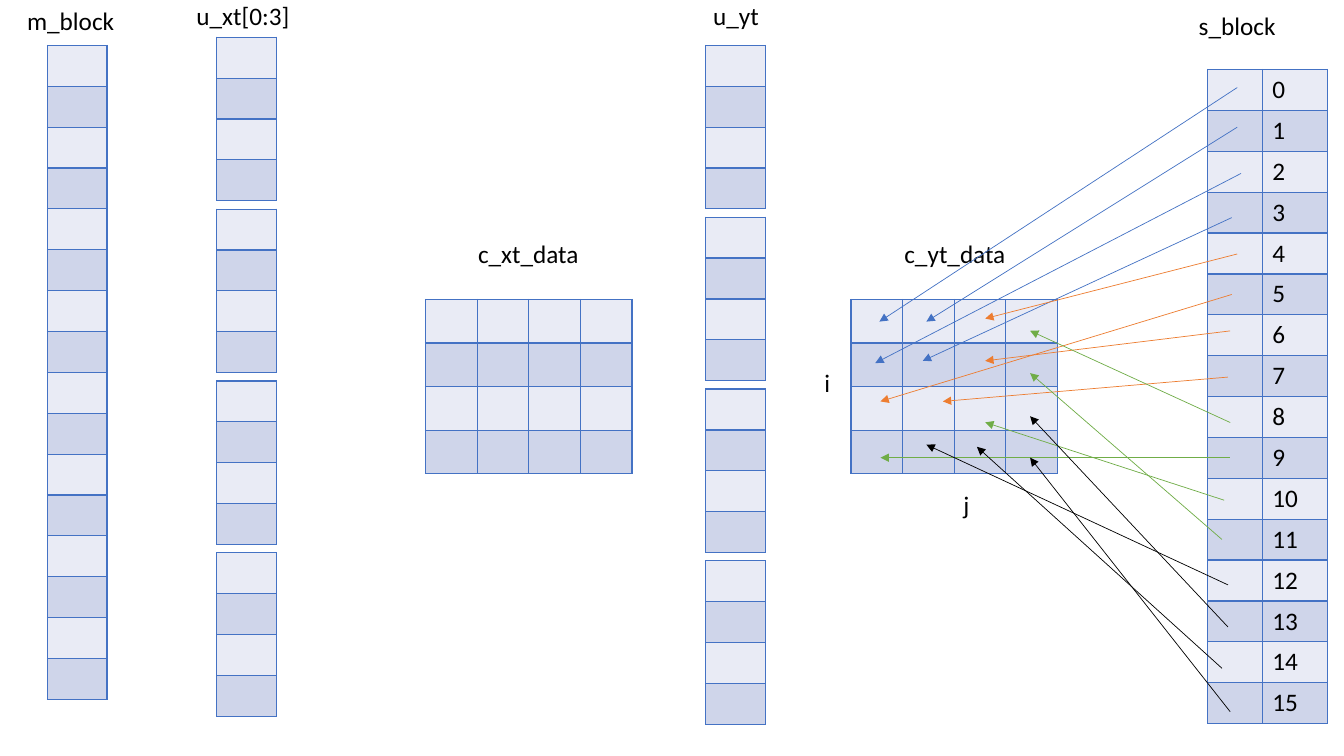
from dataclasses import dataclass
from typing import NamedTuple

from lxml.etree import SubElement
from pptx import Presentation
from pptx.dml.color import RGBColor
from pptx.enum.shapes import MSO_CONNECTOR as Connector
from pptx.enum.text import MSO_AUTO_SIZE as AutoSize, PP_ALIGN as Align
from pptx.oxml.ns import qn
from pptx.util import Inches, Pt


@dataclass(frozen=True)
class Theme:
    font: str = "Calibri"
    size: float = 18
    text: str = "000000"
    bands: tuple[str, str] = ("E9EBF5", "CFD5EA")
    border: str = "4472C4"
    border_width: float = 1
    arrow_width: float = 0.5
    # One colour for each group of four s_block entries
    groups: tuple[str, ...] = ("4472C4", "ED7D31", "70AD47", "000000")


class Grid(NamedTuple):
    """Cells placed in percent of the slide's width and height."""
    left: float
    top: float
    columns: tuple[float, ...]
    row_height: float
    rows: int
    numbered: bool = False

    def point(self, column: float, row: float) -> tuple[int, int]:
        return across(self.left + column * self.columns[0]), down(self.top + row * self.row_height)


class Label(NamedTuple):
    text: str
    left: float
    top: float
    width: float
    align: Align = Align.CENTER


class Arrow(NamedTuple):
    """Tip in c_yt_data and start in s_block, in columns and rows of each."""
    tip: tuple[float, float]
    start: tuple[float, float]


theme = Theme()
presentation = Presentation()
presentation.slide_width, presentation.slide_height = Inches(13.33), Inches(7.5)
slide = presentation.slides.add_slide(presentation.slide_layouts[6])


def across(percent: float) -> int:
    return round(presentation.slide_width * percent / 100)


def down(percent: float) -> int:
    return round(presentation.slide_height * percent / 100)


def style_text(paragraph) -> None:
    paragraph.font.name = theme.font
    paragraph.font.size = Pt(theme.size)
    paragraph.font.color.rgb = RGBColor.from_string(theme.text)


def add_borders(cell) -> None:
    properties = cell._tc.get_or_add_tcPr()
    for side in ("lnL", "lnR", "lnT", "lnB"):
        line = SubElement(properties, qn(f"a:{side}"), w=str(Pt(theme.border_width)))
        fill = SubElement(line, qn("a:solidFill"))
        SubElement(fill, qn("a:srgbClr"), val=theme.border)


def draw_grid(grid: Grid) -> None:
    table = slide.shapes.add_table(
        grid.rows, len(grid.columns), across(grid.left), down(grid.top),
        across(sum(grid.columns)), down(grid.rows * grid.row_height)).table
    table.first_row = table.horz_banding = False
    for column, width in zip(table.columns, grid.columns):
        column.width = across(width)
    for index, row in enumerate(table.rows):
        row.height = down(grid.row_height)
        cells = list(row.cells)
        for cell in cells:
            add_borders(cell)
            cell.fill.solid()
            cell.fill.fore_color.rgb = RGBColor.from_string(theme.bands[index % 2])
            style_text(cell.text_frame.paragraphs[0])
        if grid.numbered:
            cells[-1].text_frame.paragraphs[0].add_run().text = str(index)


def draw_label(label: Label) -> None:
    box = slide.shapes.add_textbox(
        across(label.left), down(label.top), across(label.width), down(LABEL_HEIGHT))
    frame = box.text_frame
    frame.word_wrap = True
    frame.auto_size = AutoSize.SHAPE_TO_FIT_TEXT
    paragraph = frame.paragraphs[0]
    paragraph.text = label.text
    paragraph.alignment = label.align
    style_text(paragraph)


def draw_arrow(arrow: Arrow, color: str) -> None:
    connector = slide.shapes.add_connector(
        Connector.STRAIGHT, *c_yt_data.point(*arrow.tip), *s_block.point(*arrow.start))
    connector.line.color.rgb = RGBColor.from_string(color)
    connector.line.width = Pt(theme.arrow_width)
    SubElement(connector.line._get_or_add_ln(), qn("a:headEnd"), type="triangle")
    SubElement(connector._element.spPr, qn("a:effectLst"))


# Memory blocks and matrices
BLOCK_WIDTH, BLOCK_ROW = 4.43, 5.41
MATRIX_COLUMNS, MATRIX_ROW, MATRIX_TOP = (3.84,) * 4, 5.77, 39.6
STACK_PITCH = 22.73
LABEL_HEIGHT, LABEL_WIDTH = 5.33, 11.25

m_block = Grid(3.53, 6, (BLOCK_WIDTH,), BLOCK_ROW, 16)
c_xt_data = Grid(31.66, MATRIX_TOP, MATRIX_COLUMNS, MATRIX_ROW, 4)
c_yt_data = c_xt_data._replace(left=63.32)
s_block = Grid(89.87, 9.2, (4.05, 4.88), BLOCK_ROW, 16, numbered=True)
vectors = [Grid(left, top + index * STACK_PITCH, (BLOCK_WIDTH,), BLOCK_ROW, 4)
           for left, top in ((16.13, 4.93), (52.51, 6)) for index in range(4)]

for grid in (m_block, c_xt_data, c_yt_data, s_block, *vectors):
    draw_grid(grid)

# Names of the blocks and of the matrix indices
LABELS = (
    Label("m_block", 1.28, 0, 8.93, Align.LEFT),
    Label("u_xt[0:3]", 13.88, -0.67, 8.93, Align.LEFT),
    Label("c_xt_data", 33.68, 30.93, LABEL_WIDTH),
    Label("c_yt_data", 65.42, 30.93, LABEL_WIDTH),
    Label("u_yt", 49.14, -0.67, LABEL_WIDTH),
    Label("s_block", 86.42, 0.67, LABEL_WIDTH),
    Label("i", 59.34, 47.87, BLOCK_WIDTH),
    Label("j", 69.69, 64.13, BLOCK_WIDTH),
)
for label in LABELS:
    draw_label(label)

# Each s_block entry points to its cell in c_yt_data
ARROWS = (
    Arrow((0.55, 0.51), (0.54, 0.44)),
    Arrow((1.46, 0.51), (0.54, 1.41)),
    Arrow((0.47, 1.46), (0.61, 2.54)),
    Arrow((1.39, 1.41), (0.44, 3.62)),
    Arrow((2.6, 0.44), (0.54, 4.51)),
    Arrow((0.57, 2.34), (0.44, 5.5)),
    Arrow((2.6, 1.41), (0.41, 6.39)),
    Arrow((1.78, 2.34), (0.37, 7.52)),
    Arrow((3.47, 0.72), (0.41, 8.63)),
    Arrow((0.57, 3.63), (0.41, 9.49)),
    Arrow((2.6, 2.82), (0.3, 10.53)),
    Arrow((3.47, 1.69), (0.26, 11.49)),
    Arrow((1.46, 3.33), (0.37, 12.6)),
    Arrow((3.47, 2.68), (0.37, 13.63)),
    Arrow((2.44, 3.38), (0.26, 14.64)),
    Arrow((3.47, 3.63), (0.41, 15.7)),
)
for index, arrow in enumerate(ARROWS):
    draw_arrow(arrow, theme.groups[index // 4])

presentation.save("out.pptx")
